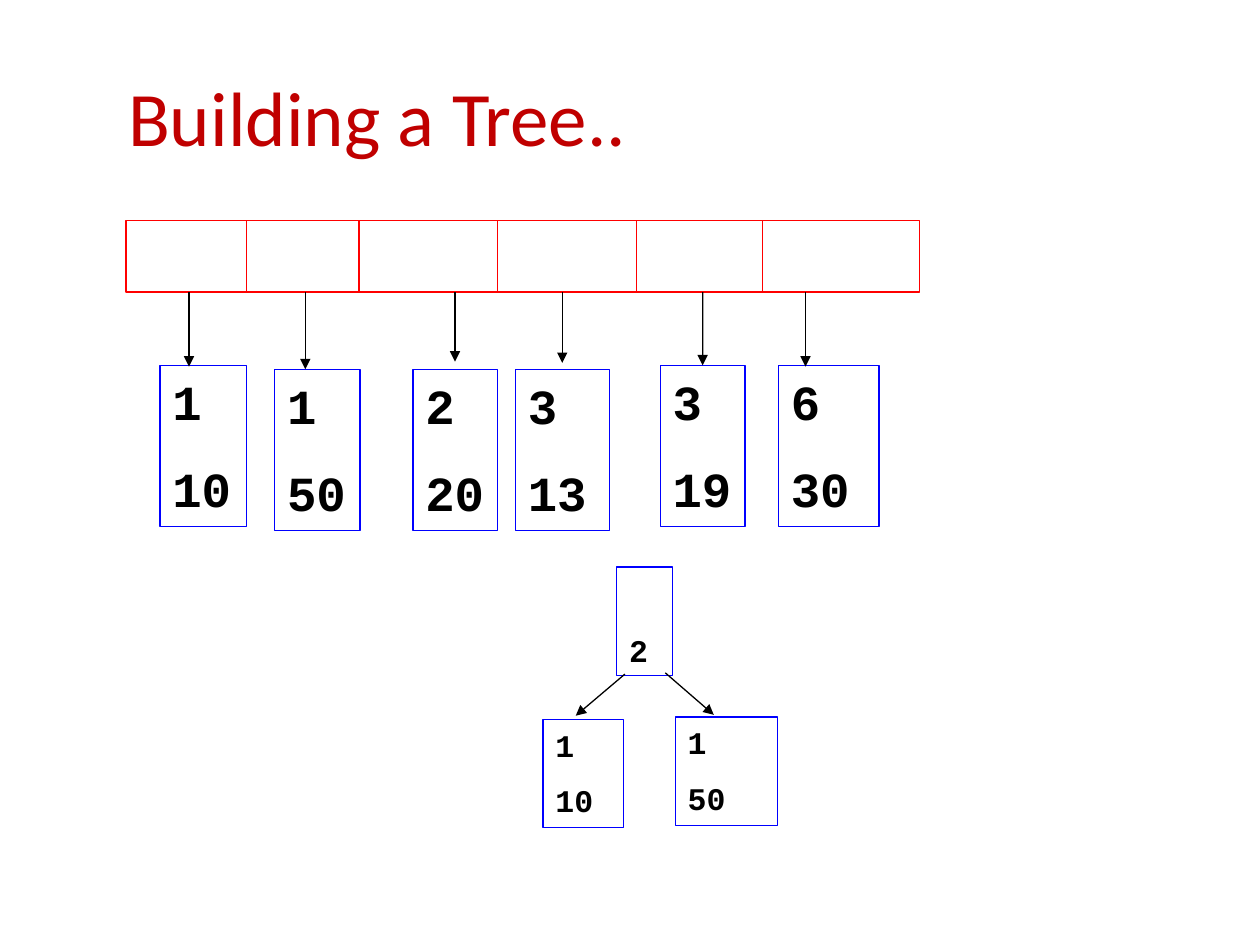
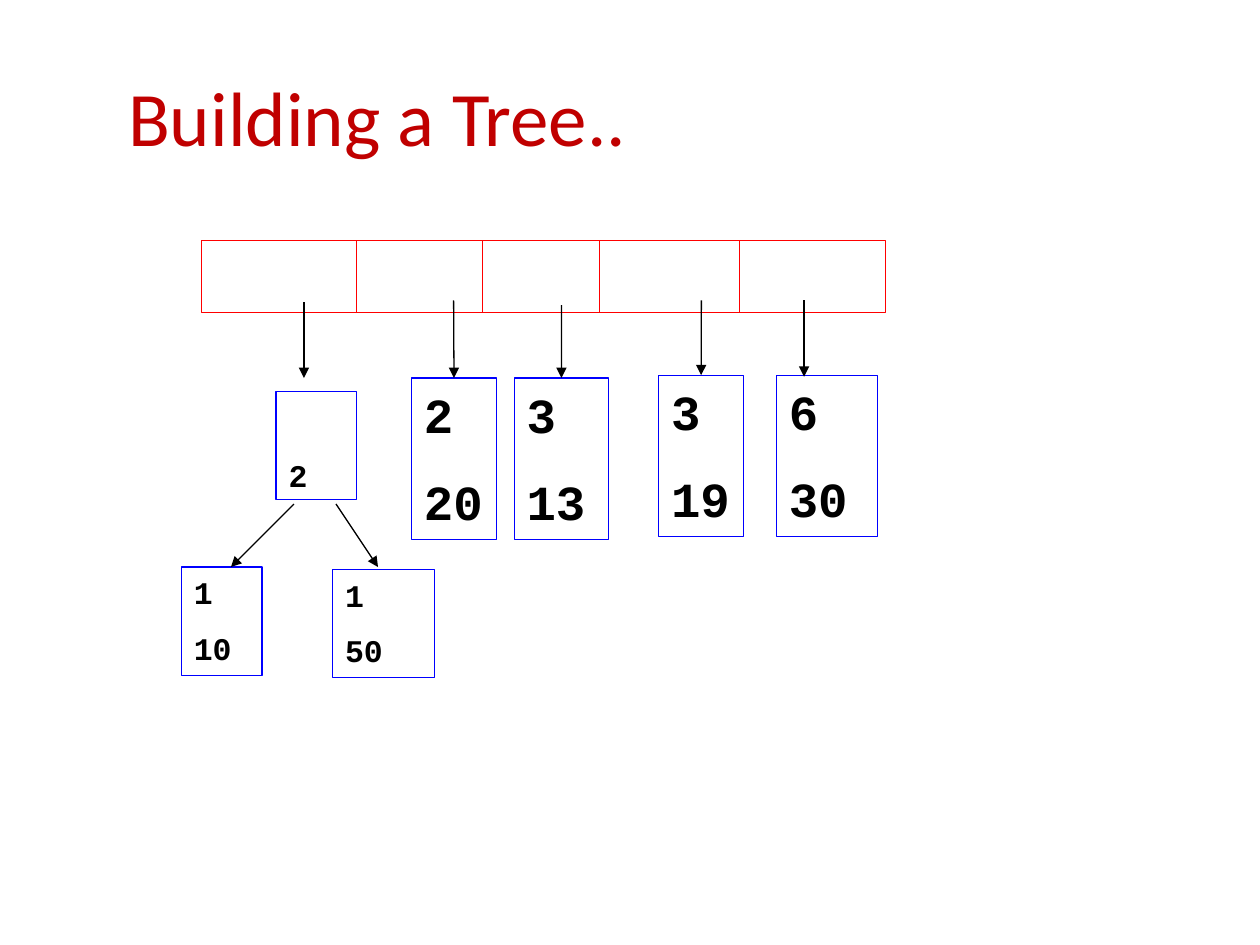
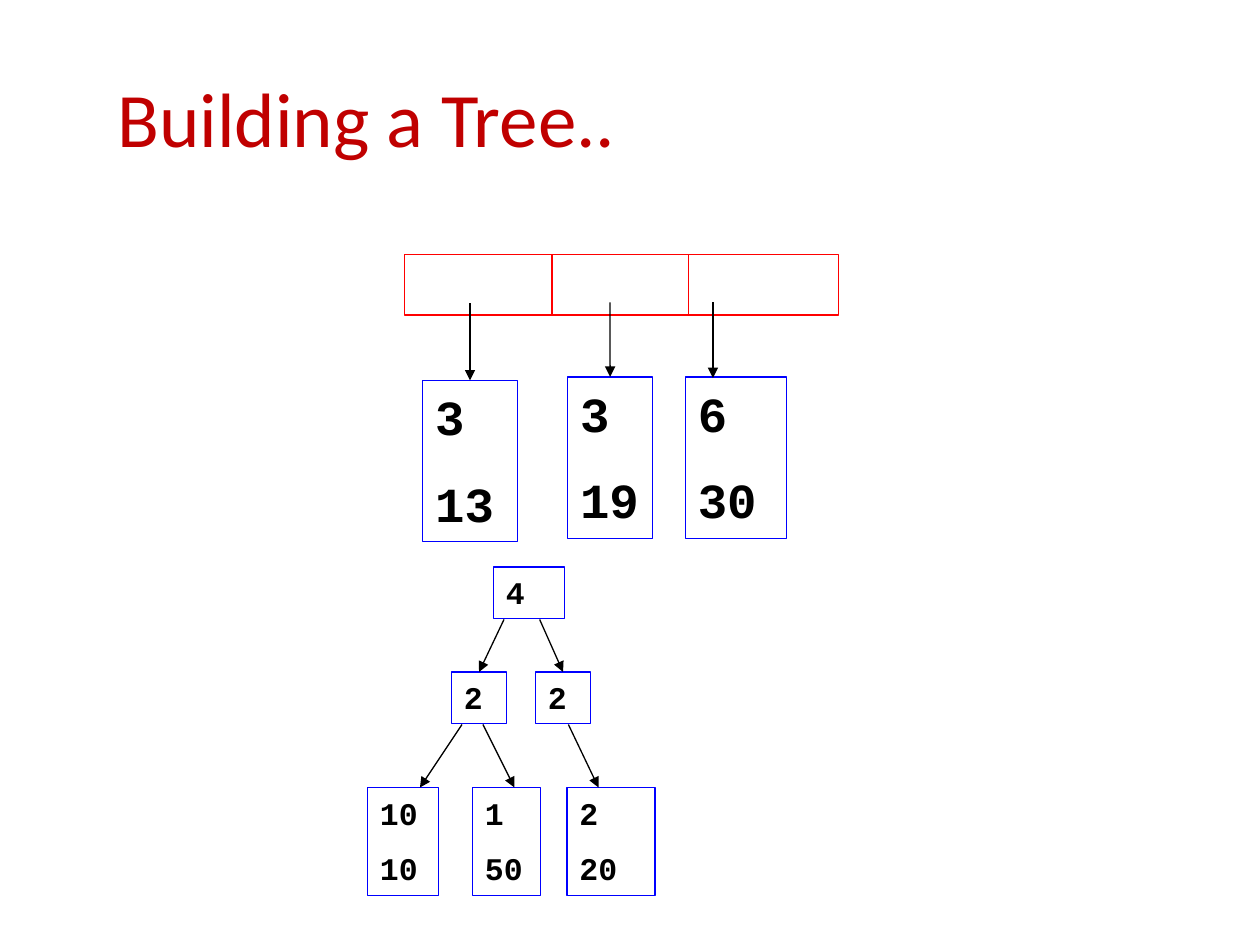
import pptx
import pptx.util
import pptx.dml.color
import pptx.enum.shapes
import pptx.enum.text
import pptx.oxml
import pptx.oxml.ns

Pt = pptx.util.Pt
ANCHOR = pptx.enum.text.MSO_ANCHOR

COLORS = {"title": "C00000", "queue": "FF0000", "node": "0000FF",
          "ink": "000000", "paper": "FFFFFF"}
TITLE = "Building a Tree.."
TITLE_SIZE = (635.8, 90)
LINE_WIDTH = 0.75
JOIN_REACH = 2.5
QUEUE_NODE_SIZE, TREE_NODE_SIZE = 28, 18
NODE_HEIGHTS = {(28, 2): 92.2, (18, 2): 61.9, (18, 1): 29.4}

# queue: left, top, width, height; nodes: left, top, width, lines
# arrows: start x, start y, end x, end y
STEPS = [
    {
        "title_at": (66.2, 20.9),
        "queue": (72, 126, 453.6, 41),
        "dividers": [141, 205.2, 284.4, 363.6, 435.6],
        "queue_nodes": [
            (91.4, 208.8, 49.7, ["1", "10"]),
            (157, 211, 48.8, ["1", "50"]),
            (236, 211, 48.5, ["2", "20"]),
            (294.5, 211, 54, ["3", "13"]),
            (377.3, 208.8, 48.5, ["3", "19"]),
            (444.8, 208.8, 57.6, ["6", "30"]),
        ],
        "tree_nodes": [
            (310.3, 411.1, 46.1, ["1", "10"]),
            (385.9, 409.7, 58.3, ["1", "50"]),
        ],
        "parents": [(352.5, 324, 31.7, ["2"])],
        "arrows": [
            (108, 167, 108, 209.5), (174.5, 167, 174.5, 211),
            (260, 167, 260, 206.6), (321.3, 167, 321.3, 207.4),
            (401.6, 167, 401.6, 209.5), (460.3, 167, 460.3, 209.5),
            (357.1, 385.2, 329, 409), (380.2, 384.5, 407.9, 408.5),
        ],
    },
    {
        "title_at": (66.2, 20.9),
        "queue": (115.2, 137.5, 391, 41),
        "dividers": [203.8, 275.8, 342.7, 422.6],
        "queue_nodes": [
            (235.2, 216, 48.5, ["2", "20"]),
            (293.8, 216, 54, ["3", "13"]),
            (376.4, 214.4, 48.5, ["3", "19"]),
            (443.7, 214.4, 57.6, ["6", "30"]),
        ],
        "tree_nodes": [
            (103.7, 324, 46.1, ["1", "10"]),
            (190.1, 325.4, 58.3, ["1", "50"]),
        ],
        "parents": [(157.8, 223.7, 46.1, ["2"])],
        "arrows": [
            (173.7, 172.8, 173.7, 216), (259.2, 171.6, 259.2, 215.3),
            (320.9, 174.4, 320.9, 218), (400.8, 171.6, 400.8, 215.3),
            (459.5, 171.6, 459.5, 215.3),
            (168, 288, 132, 324), (192, 288, 216, 324),
        ],
    },
    {
        "title_at": (60, 21.6),
        "queue": (231.1, 145.4, 248, 34.6),
        "dividers": [315.4, 393.3],
        "queue_nodes": [
            (241.6, 217.4, 54, ["3", "13"]),
            (324.4, 215.4, 48.5, ["3", "19"]),
            (391.7, 215.4, 57.6, ["6", "30"]),
        ],
        "tree_nodes": [
            (282, 324, 40.6, ["4"]),
            (258, 384, 31.5, ["2"]),
            (306, 384, 31.5, ["2"]),
            (210, 450, 40.5, ["10", "10"]),
            (270, 450, 38.7, ["1", "50"]),
            (324, 450, 50.4, ["2", "20"]),
        ],
        "parents": [],
        "arrows": [
            (268.6, 173.3, 268.6, 217), (348.6, 172.8, 348.6, 216),
            (407.4, 172.8, 407.4, 216),
            (288, 354, 276, 384), (308.4, 354, 320.4, 384),
            (264, 414, 240, 450), (276, 414, 294, 450),
            (324.8, 414, 342, 450),
        ],
    },
]


def rgb(key):
    return pptx.dml.color.RGBColor.from_string(COLORS[key])


def add_run(paragraph, text, font, size, color, bold=False):
    run = paragraph.add_run()
    run.text = text
    run.font.name = font
    run.font.size = Pt(size)
    run.font.bold = bold
    run.font.color.rgb = rgb(color)


def add_title(slide, at):
    box = slide.shapes.add_textbox(*map(Pt, at + TITLE_SIZE))
    frame = box.text_frame
    frame.word_wrap = True
    frame.vertical_anchor = ANCHOR.MIDDLE
    add_run(frame.paragraphs[0], TITLE, "Calibri", 44, "title")


def add_rectangle(slide, bounds, outline):
    rectangle = slide.shapes.add_shape(
        pptx.enum.shapes.MSO_SHAPE.RECTANGLE, *map(Pt, bounds))
    rectangle.shadow.inherit = False
    rectangle.fill.background()
    rectangle.line.color.rgb = rgb(outline)
    rectangle.line.width = Pt(LINE_WIDTH)
    return rectangle


def add_line(slide, ends, color):
    line = slide.shapes.add_connector(
        pptx.enum.shapes.MSO_CONNECTOR.STRAIGHT, *map(Pt, ends))
    line.line.color.rgb = rgb(color)
    line.line.width = Pt(LINE_WIDTH)
    line._element.spPr.append(pptx.oxml.parse_xml(
        f"<a:effectLst {pptx.oxml.ns.nsdecls('a')}/>"))
    return line


def add_queue(slide, bounds, dividers):
    queue = add_rectangle(slide, bounds, "queue")
    queue.fill.solid()
    queue.fill.fore_color.rgb = rgb("paper")
    top, height = bounds[1], bounds[3]
    for x in dividers:
        add_line(slide, (x, top, x, top + height), "queue")


def add_node(slide, node, size, parent=False):
    left, top, width, lines = node
    height = NODE_HEIGHTS[size, 2 if parent else len(lines)]
    rectangle = add_rectangle(slide, (left, top, width, height), "node")
    frame = rectangle.text_frame
    frame.word_wrap = True
    frame.vertical_anchor = ANCHOR.BOTTOM if parent else ANCHOR.TOP
    for index, text in enumerate(lines):
        paragraph = frame.add_paragraph() if index else frame.paragraphs[0]
        paragraph.alignment = pptx.enum.text.PP_ALIGN.LEFT
        paragraph.space_before = Pt(round(size * (0.57 if index else 0.2), 1))
        add_run(paragraph, text, "Courier New", size, "ink", bold=True)
    return rectangle


def add_arrow(slide, ends, nodes):
    arrow = add_line(slide, ends, "ink")
    arrow.line._get_or_add_ln().append(pptx.oxml.parse_xml(
        f"<a:tailEnd {pptx.oxml.ns.nsdecls('a')} type='triangle'/>"))
    for node in nodes:
        across = abs(node.left + node.width / 2 - arrow.end_x)
        down = abs(node.top - arrow.end_y)
        if max(across, down) < Pt(JOIN_REACH):
            arrow.end_connect(node, 0)


def add_step(deck, step):
    slide = deck.slides.add_slide(deck.slide_layouts[6])
    add_title(slide, step["title_at"])
    add_queue(slide, step["queue"], step["dividers"])
    nodes = [add_node(slide, node, QUEUE_NODE_SIZE) for node in step["queue_nodes"]]
    nodes += [add_node(slide, node, TREE_NODE_SIZE) for node in step["tree_nodes"]]
    nodes += [add_node(slide, node, TREE_NODE_SIZE, parent=True)
              for node in step["parents"]]
    for ends in step["arrows"]:
        add_arrow(slide, ends, nodes)


def main():
    deck = pptx.Presentation()
    deck.slide_width, deck.slide_height = Pt(720), Pt(540)
    for step in STEPS:
        add_step(deck, step)
    deck.save("out.pptx")


if __name__ == "__main__":
    main()
